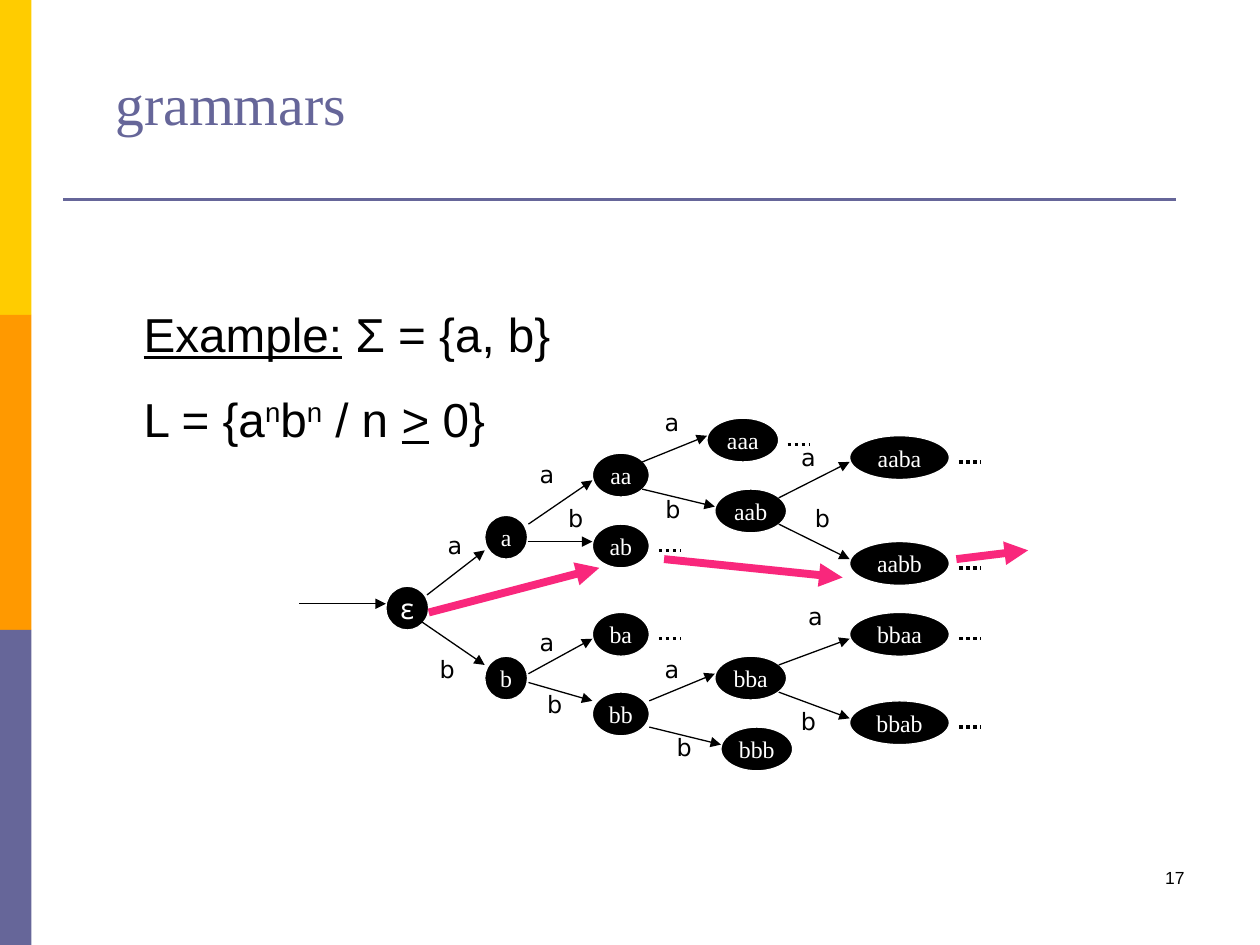
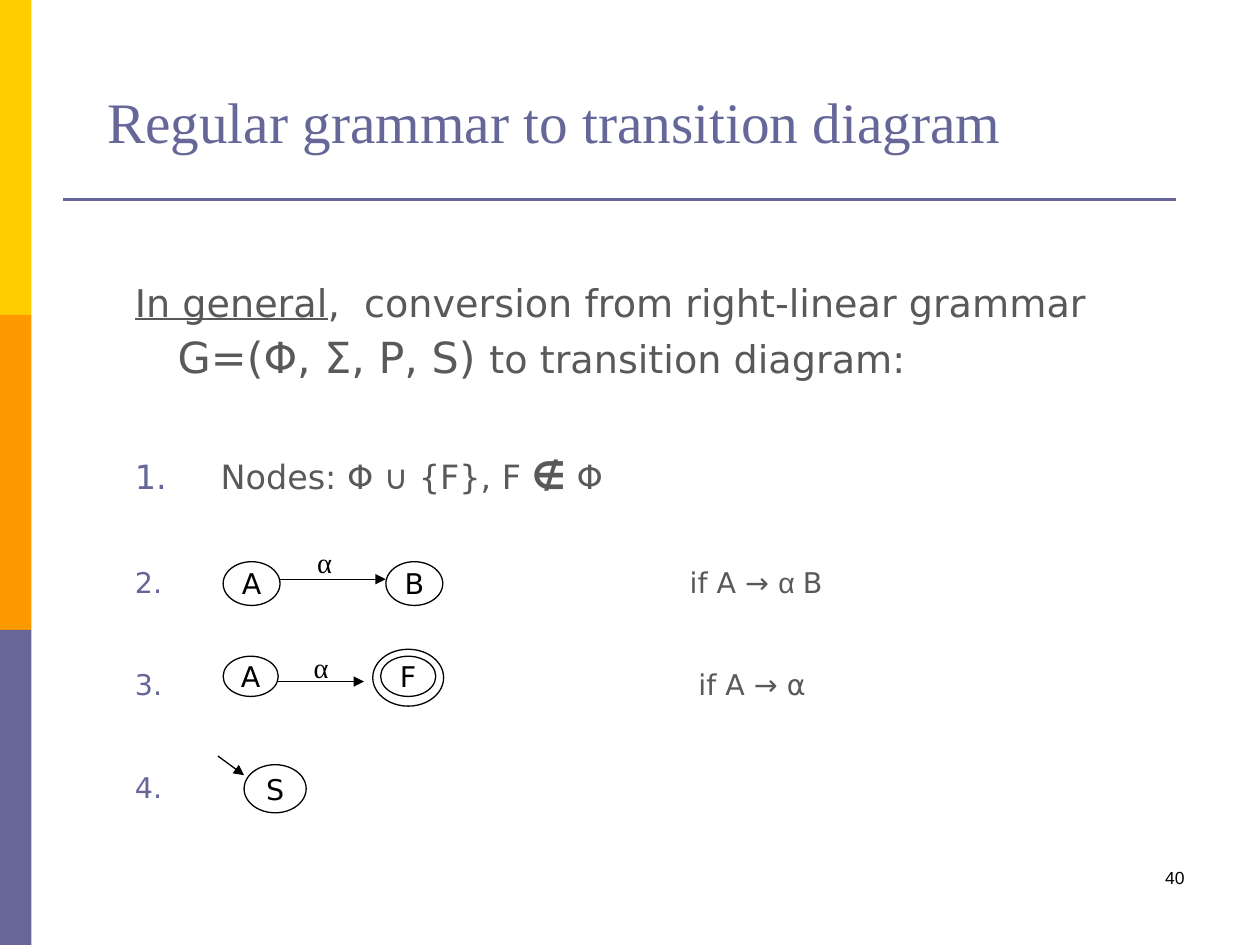
"""Build two slides on grammars and transition diagrams."""
from lxml import etree
from pptx import Presentation
from pptx.dml.color import RGBColor as Rgb
from pptx.enum.dml import MSO_LINE as Dash
from pptx.enum.shapes import MSO_CONNECTOR as Link, MSO_SHAPE as Preset
from pptx.enum.text import MSO_ANCHOR as Anchor, MSO_AUTO_SIZE as Fit, PP_ALIGN as Align
from pptx.oxml.ns import qn
from pptx.util import Pt

COLORS = {"yellow": "FFCC00", "orange": "FF9900", "violet": "666699", "black": "000000",
          "white": "FFFFFF", "gray": "595959", "pink": "F9277C"}
SERIF, SANS, PLAIN = "Times New Roman", "DejaVu Sans", "Arial"
TIGHT = {"margin_left": 0, "margin_right": 0, "margin_top": 0, "margin_bottom": 0,
         "word_wrap": False, "auto_size": Fit.NONE, "vertical_anchor": Anchor.MIDDLE}
ROOMY = {"margin_left": Pt(7.2), "margin_right": Pt(7.2), "margin_top": Pt(3.6),
         "word_wrap": True, "vertical_anchor": Anchor.TOP}


def write(para, text, name, size, color, **extras):
    span = para.add_run()
    span.text = text
    for key, value in {"name": name, "size": Pt(size), **extras}.items():
        setattr(span.font, key, value)
    span.font.color.rgb = Rgb.from_string(COLORS[color])
    return span


def draw(page, preset, place, fill=None, line=None, frame=None, align=Align.CENTER):
    place = [Pt(value) for value in place]
    if preset is None:
        box = page.shapes.add_textbox(*place)
    else:
        box = page.shapes.add_shape(preset, *place)
        box.shadow.inherit = False
        for part, color in ((box.fill, fill), (box.line.fill, line)):
            if color:
                part.solid()
                part.fore_color.rgb = Rgb.from_string(COLORS[color])
            else:
                part.background()
        if line:
            box.line.width = Pt(0.75)
    for key, value in {**TIGHT, **(frame or {})}.items():
        setattr(box.text_frame, key, value)
    box.text_frame.paragraphs[0].alignment = align
    return box


deck = Presentation()
deck.slide_width, deck.slide_height = Pt(720), Pt(540)
lines = []

pages = []
for title, place, inset, size, number in (
        ("grammars", (66, 11, 538, 67.5), 0, 33, "17"),
        ("Regular grammar to transition diagram", (54, 24.5, 647, 67.5), 1, 32.7, "40")):
    page = deck.slides.add_slide(deck.slide_layouts[5])
    pages.append(page)
    for row, color in enumerate(("yellow", "orange", "violet")):
        draw(page, Preset.RECTANGLE, (0, 180 * row, 18, 180), fill=color)
    lines.append((page, (36, 114, 672, 114), "violet", 1.5, None))
    heading = page.shapes.title
    for key, value in zip(("left", "top", "width", "height"), place):
        setattr(heading, key, Pt(value))
    for key, value in {**TIGHT, "word_wrap": True, "vertical_anchor": Anchor.BOTTOM,
                       "margin_left": Pt(7.2 * inset),
                       "margin_bottom": Pt(3.6 * inset)}.items():
        setattr(heading.text_frame, key, value)
    para = heading.text_frame.paragraphs[0]
    para.alignment = Align.LEFT
    write(para, title, SERIF, size, "violet")
    box = draw(page, None, (516, 492, 168, 36), frame=ROOMY, align=Align.RIGHT)
    write(box.text_frame.paragraphs[0], number, PLAIN, 10, "black")

tree, rules = pages

box = draw(tree, None, (75, 144, 628, 275), frame={**ROOMY, "margin_top": Pt(30)},
           align=Align.LEFT)
para = box.text_frame.paragraphs[0]
write(para, "Example:", PLAIN, 27.2, "black", underline=True)
write(para, " Σ = {a, b}", PLAIN, 27.2, "black")
para = box.text_frame.add_paragraph()
para.space_before = Pt(16)
for text, raised, underline in (("L = {a", 0, False), ("n", 1, False), ("b", 0, False),
                                ("n", 1, False), (" / n ", 0, False), (">", 0, True),
                                (" 0}", 0, False)):
    span = write(para, text, PLAIN, 27.2, "black", underline=underline)
    if raised:
        span._r.get_or_add_rPr().set("baseline", "30000")

node_widths = {1: 24.5, 2: 32.5, 3: 41, 4: 57}
for word, left, top in (
        ("ε", 220.5, 335), ("a", 277, 294.5), ("b", 277, 375),
        ("aa", 338.5, 259), ("ab", 338.5, 299.5), ("ba", 338.5, 350), ("bb", 338.5, 395.5),
        ("aaa", 404, 239), ("aab", 408.5, 279.5), ("bba", 408.5, 375), ("bbb", 412, 415.5),
        ("aaba", 485.5, 249), ("aabb", 485.5, 309.5), ("bbaa", 485.5, 350),
        ("bbab", 485.5, 400.5)):
    node = draw(tree, Preset.OVAL, (left, top, node_widths[len(word)], 25), "black", "white")
    font, size = ("Quicksand", 16.3) if word == "ε" else (SERIF, 13.6)
    write(node.text_frame.paragraphs[0], word, font, size, "white")

lines.append((tree, (171, 345, 220.5, 345), "black", 0.75, "arrow"))
for ends, letter, center, top in (
        ((244, 340, 277, 314.5), "a", 260, 299.5), ((240.5, 355, 277, 380), "b", 255.5, 370),
        ((302, 299.5, 338.5, 274.5), "a", 312.5, 259),
        ((302, 309.5, 338.5, 309.5), "b", 329, 284),
        ((302, 385, 338.5, 365), "a", 312.5, 355), ((302, 390, 338.5, 400.5), "b", 317, 390),
        ((367, 264, 404, 249), "a", 384, 229), ((367, 279.5, 408.5, 289.5), "b", 384.5, 279),
        ((371, 400.5, 408.5, 385), "a", 384, 370),
        ((371, 415.5, 412, 425.5), "b", 391, 415),
        ((445, 284.5, 485.5, 264), "a", 462, 249),
        ((445, 299.5, 485.5, 319.5), "b", 470, 284),
        ((445, 380, 485.5, 365), "a", 466, 340),
        ((445, 395.5, 485.5, 410.5), "b", 462, 400)):
    lines.append((tree, ends, "black", 0.75, "arrow"))
    box = draw(tree, None, (center - 10, top, 20, 24))
    write(box.text_frame.paragraphs[0], letter, SANS, 13.6, "black")

for left, top in ((450, 254), (376.5, 314.5), (376.5, 365), (548, 264), (548, 324.5),
                  (548, 365), (548, 415.5)):
    lines.append((tree, (left, top, left + 12.5, top), "black", 2, "dots"))
for ends in ((245, 350, 342.5, 324.5), (379.5, 319.5, 481.5, 330), (546.5, 319.5, 587.5, 314.5)):
    lines.append((tree, ends, "pink", 4.5, "arrow"))

box = draw(rules, None, (70, 153.5, 624, 269), frame=ROOMY, align=Align.LEFT)
plain, small = (SANS, 21.8), (SANS, 16.3)
for index, (indent, numbered, spans) in enumerate((
        (24.5, False, (("In general", *plain), (",  conversion from right-linear grammar ", *plain),
                       ("G=(Φ, Σ, P, S) ", SANS, 24.5), ("to transition diagram:", *plain))),
        (49, True, (("Nodes: Φ ∪ {F}, F ", SANS, 19.1), ("∉", *plain), (" Φ", SANS, 19.1))),
        (317, True, (("if A → ", *small), ("α ", PLAIN, 16.3), ("B", *small))),
        (322, True, (("if A → α", *small),)),
        (49, True, ((" ", *small),)))):
    para = box.text_frame.add_paragraph() if index else box.text_frame.paragraphs[0]
    para.line_spacing = 1.1
    para.space_before = Pt(37 if index else 0)
    props = para._p.get_or_add_pPr()
    props.set("marL", str(Pt(indent)))
    props.set("indent", str(-Pt(indent)))
    if numbered:
        tint = etree.SubElement(props, qn("a:buClr"))
        etree.SubElement(tint, qn("a:srgbClr"), val=COLORS["violet"])
        etree.SubElement(props, qn("a:buAutoNum"), type="arabicPeriod")
    for text, font, size in spans:
        write(para, text, font, size, "gray", underline=text == "In general", bold=text == "∉")

for state, place in (("A", (127.5, 321, 32.5, 25)), ("B", (220.5, 321, 32.5, 25)),
                     ("A", (127.5, 375, 31.5, 23)), ("F", (217.5, 375, 31.5, 23)),
                     ("", (213, 371, 40.5, 32.5)), ("S", (139.5, 437, 35.5, 27.5))):
    node = draw(rules, Preset.OVAL, place, line="black")
    if state:
        write(node.text_frame.paragraphs[0], state, *small, "black")
for left, top in ((174, 307), (172, 367)):
    box = draw(rules, None, (left, top, 23, 28))
    write(box.text_frame.paragraphs[0], "α", SERIF, 16.3, "black")
for ends in ((160, 331, 220.5, 331), (159, 389.5, 208, 389.5), (124.5, 432, 139.5, 443)):
    lines.append((rules, ends, "black", 0.75, "arrow"))

for page, ends, color, width, finish in lines:
    link = page.shapes.add_connector(Link.STRAIGHT, *[Pt(value) for value in ends])
    link.line.color.rgb = Rgb.from_string(COLORS[color])
    link.line.width = Pt(width)
    if finish == "dots":
        link.line.dash_style = Dash.ROUND_DOT
    if finish == "arrow":
        etree.SubElement(link.line._get_or_add_ln(), qn("a:tailEnd"), type="triangle")
    etree.SubElement(link._element.spPr, qn("a:effectLst"))

deck.save("out.pptx")
